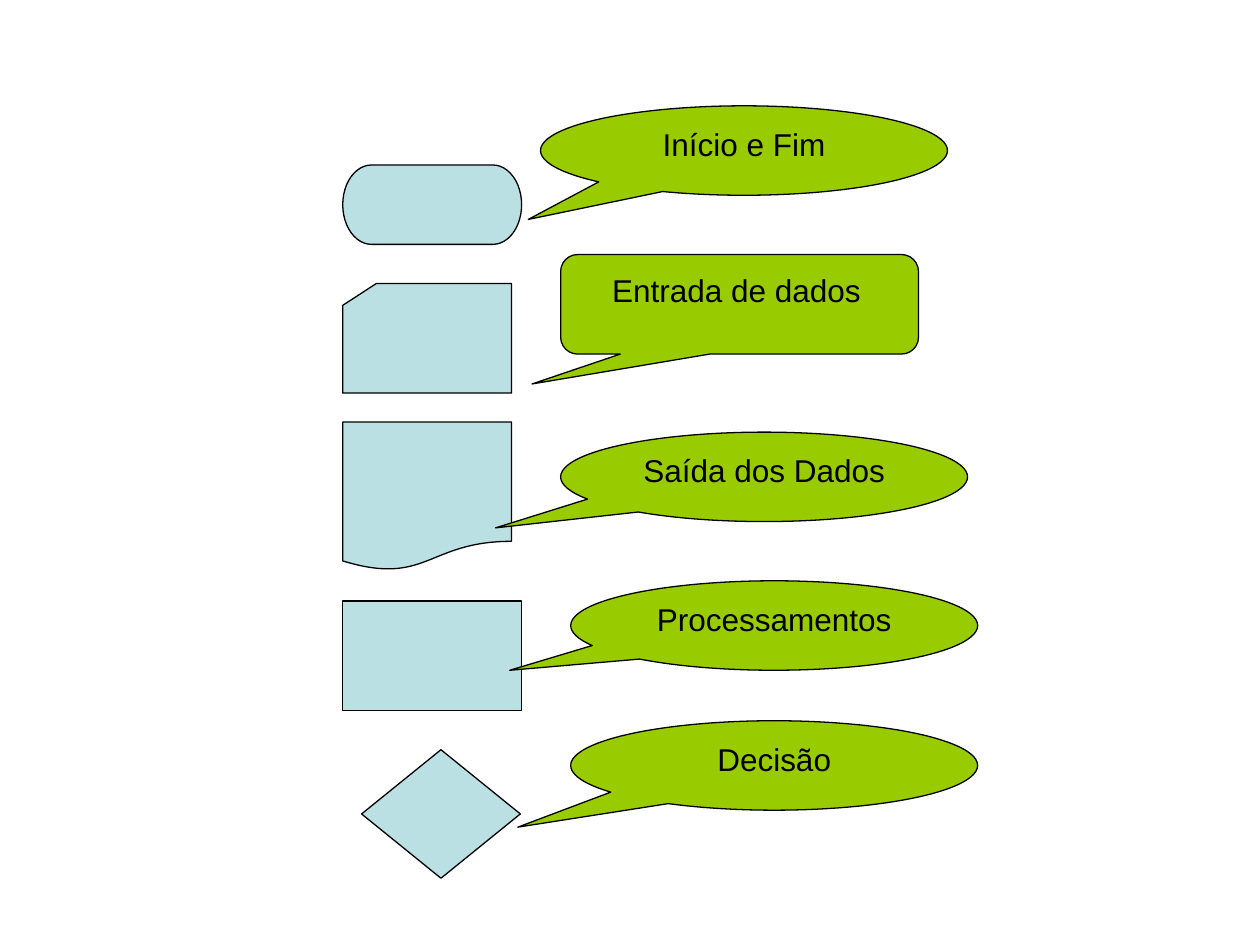
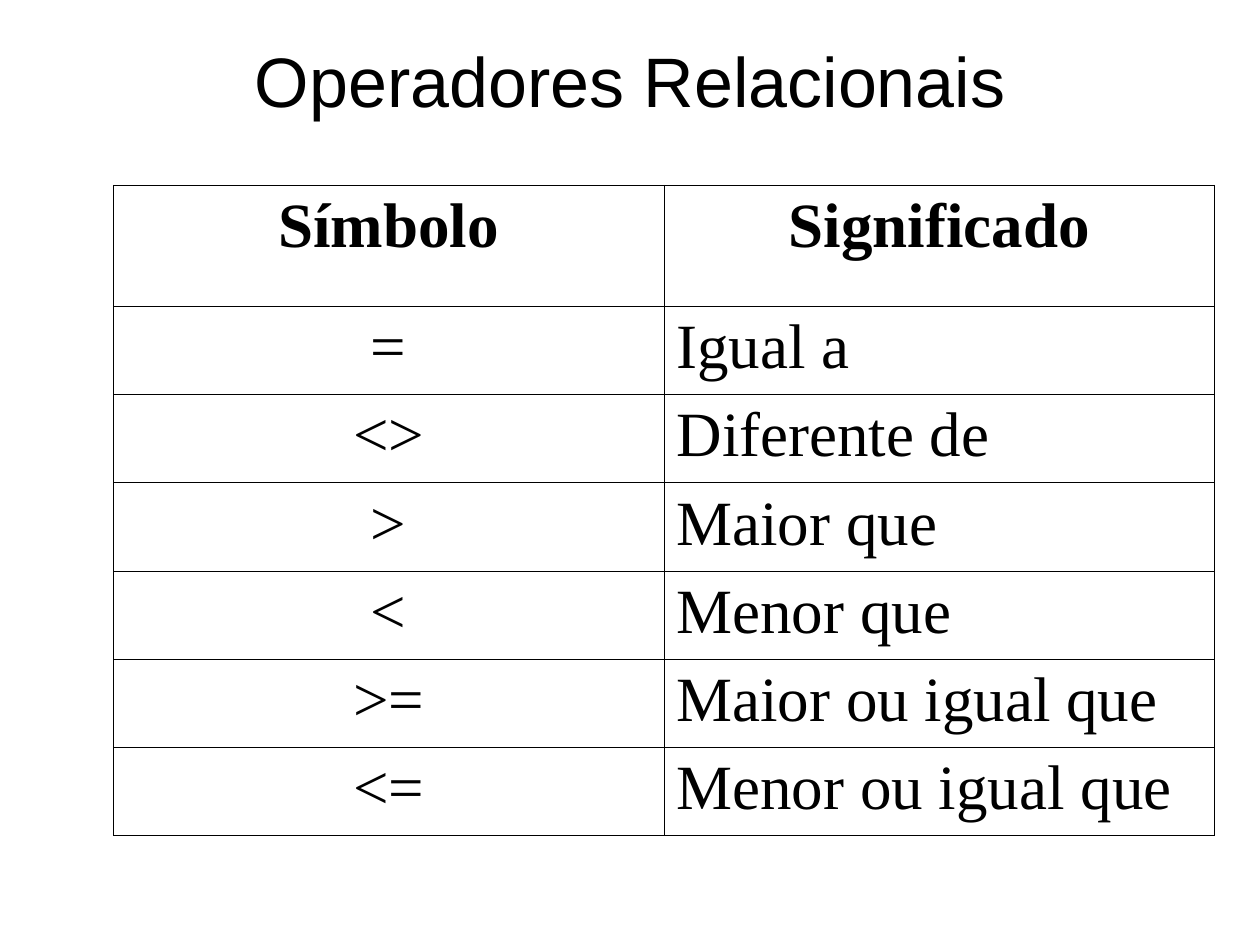
from lxml.etree import SubElement
from pptx import Presentation
from pptx.dml.color import RGBColor
from pptx.enum.shapes import MSO_SHAPE as Preset
from pptx.enum.text import MSO_ANCHOR as Anchor, PP_ALIGN as Align
from pptx.oxml.ns import qn
from pptx.util import Inches, Pt

BLACK = "000000"
SYMBOL_BLUE = "BBE0E3"
CALLOUT_GREEN = "99CC00"
BODY_FONT = "Arial"
TABLE_FONT = "Times New Roman"
BLANK_LAYOUT = 6

FLOWCHART_SYMBOLS = [
    (Preset.FLOWCHART_TERMINATOR, (2.72, 1.31, 1.42, 0.63)),
    (Preset.FLOWCHART_CARD, (2.72, 2.25, 1.34, 0.87)),
    (Preset.FLOWCHART_DOCUMENT, (2.72, 3.35, 1.34, 1.18)),
    (Preset.FLOWCHART_PROCESS, (2.72, 4.77, 1.42, 0.87)),
    (Preset.FLOWCHART_DECISION, (2.87, 5.95, 1.26, 1.02)),
]

# Label, left, top, and pointer tip relative to the balloon
OVAL_CALLOUTS = [
    ("Início e Fim", 4.29, 0.84, (-0.53, 0.77)),
    ("Saída dos Dados", 4.45, 3.43, (-0.66, 0.57)),
    ("Processamentos", 4.53, 4.61, (-0.65, 0.5)),
    ("Decisão", 4.53, 5.72, (-0.63, 0.69)),
]
OVAL_SIZE = (3.23, 0.71)

OPERATORS = [
    ("Símbolo", "Significado"),
    ("=", "Igual a"),
    ("<>", "Diferente de"),
    (">", "Maior que"),
    ("<", "Menor que"),
    (">=", "Maior ou igual que"),
    ("<=", "Menor ou igual que"),
]


def color(hex_string):
    return RGBColor.from_string(hex_string)


def set_borders(cell, width):
    properties = cell._tc.get_or_add_tcPr()
    for side in ("a:lnL", "a:lnR", "a:lnT", "a:lnB"):
        line = SubElement(properties, qn(side), w=str(Pt(width)))
        fill = SubElement(line, qn("a:solidFill"))
        SubElement(fill, qn("a:srgbClr"), val=BLACK)


class Deck:
    """Holds the shared style and the slide being filled."""

    def __init__(self):
        self.presentation = Presentation()
        self.presentation.slide_width = Inches(10)
        self.presentation.slide_height = Inches(7.5)
        self.slide = None

    def new_slide(self):
        layout = self.presentation.slide_layouts[BLANK_LAYOUT]
        self.slide = self.presentation.slides.add_slide(layout)

    def fill_text(self, frame, text, size=18, font=BODY_FONT, align=Align.CENTER, bold=False):
        frame.text = text
        paragraph = frame.paragraphs[0]
        paragraph.alignment = align
        paragraph.font.name = font
        paragraph.font.size = Pt(size)
        paragraph.font.bold = bold
        paragraph.font.color.rgb = color(BLACK)

    def shape(self, preset, box, fill, adjustments=()):
        shape = self.slide.shapes.add_shape(preset, *map(Inches, box))
        shape.shadow.inherit = False
        shape.fill.solid()
        shape.fill.fore_color.rgb = color(fill)
        shape.line.color.rgb = color(BLACK)
        shape.line.width = Pt(0.75)
        for index, value in enumerate(adjustments):
            shape.adjustments[index] = value
        return shape

    def callout(self, text, left, top, tip):
        box = (left, top, *OVAL_SIZE)
        shape = self.shape(Preset.OVAL_CALLOUT, box, CALLOUT_GREEN, tip)
        shape.text_frame.vertical_anchor = Anchor.TOP
        self.fill_text(shape.text_frame, text)

    def text(self, text, box, **style):
        frame = self.slide.shapes.add_textbox(*map(Inches, box)).text_frame
        frame.word_wrap = True
        self.fill_text(frame, text, **style)
        return frame

    def title(self, text):
        frame = self.text(text, (0.5, 0.3, 9, 1.25), size=40)
        frame.margin_top = 0

    def table(self, rows, box, header_height, row_height):
        graphic = self.slide.shapes.add_table(len(rows), len(rows[0]), *map(Inches, box))
        table = graphic.table
        table.first_row = table.horz_banding = False
        for row_index, values in enumerate(rows):
            header = row_index == 0
            table.rows[row_index].height = Inches(header_height if header else row_height)
            for column_index, value in enumerate(values):
                cell = table.cell(row_index, column_index)
                set_borders(cell, 0.45)
                cell.fill.background()
                centered = header or column_index == 0
                self.fill_text(cell.text_frame, value, size=36, font=TABLE_FONT, bold=header,
                               align=Align.CENTER if centered else Align.JUSTIFY)


def add_flowchart_slide(deck):
    deck.new_slide()
    for preset, box in FLOWCHART_SYMBOLS:
        deck.shape(preset, box, SYMBOL_BLUE)
    deck.shape(Preset.ROUNDED_RECTANGULAR_CALLOUT, (4.45, 2.02, 2.84, 0.79),
               CALLOUT_GREEN, (-0.58, 0.8, 0.17))
    deck.text("Entrada de dados", (4.76, 2.1, 2.21, 0.4), align=Align.LEFT)
    for callout in OVAL_CALLOUTS:
        deck.callout(*callout)


def add_operators_slide(deck):
    deck.new_slide()
    deck.title("Operadores Relacionais")
    deck.table(OPERATORS, (0.9, 1.47, 8.74, 5.18), header_height=0.96, row_height=0.7)


def main():
    deck = Deck()
    add_flowchart_slide(deck)
    add_operators_slide(deck)
    deck.presentation.save("out.pptx")


if __name__ == "__main__":
    main()
